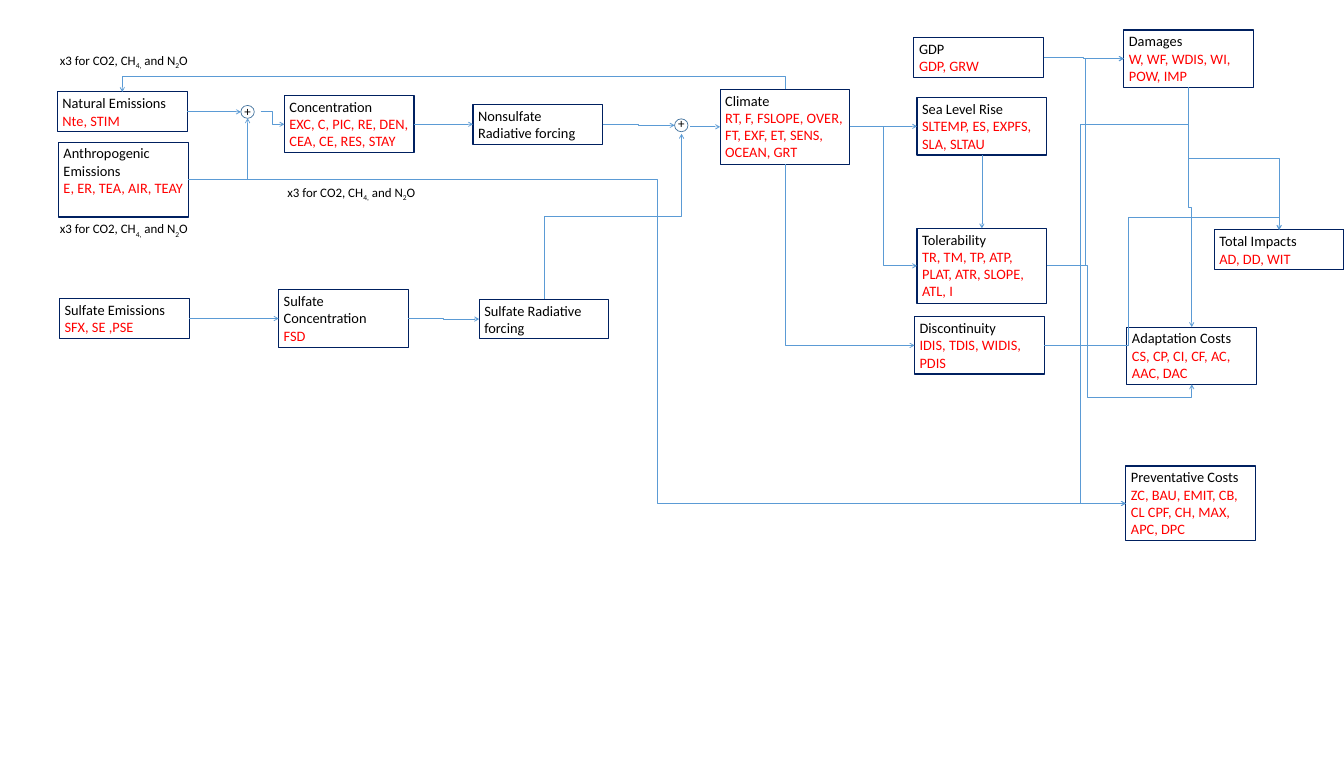
import dataclasses
import enum
import typing

import lxml.etree
import pptx
import pptx.dml.color
import pptx.enum.shapes
import pptx.enum.text
import pptx.oxml.ns
import pptx.util

Inches = pptx.util.Inches
Pt = pptx.util.Pt
RGB = pptx.dml.color.RGBColor.from_string
Preset = pptx.enum.shapes.MSO_SHAPE
qn = pptx.oxml.ns.qn


@dataclasses.dataclass(frozen=True)
class Theme:
    font: str = "Calibri"
    title: str = "000000"
    variables: str = "FF0000"
    box_edge: str = "002060"
    sum_edge: str = "43739E"
    flow: str = "5B9BD5"
    box_size: int = 20
    note_size: int = 18
    box_width: float = 2.51
    row_height: float = 0.34
    box_padding: float = 0.09


class Side(enum.Enum):
    TOP = 0
    LEFT = 1
    BOTTOM = 2
    RIGHT = 3


class Module(typing.NamedTuple):
    title: str
    variables: str
    left: float
    top: float
    rows: int


class Sum(typing.NamedTuple):
    key: str
    circle: tuple[float, float, float, float]
    sign: tuple[float, float, float, float]
    spacing: float


class Flow(typing.NamedTuple):
    source: str
    exit: Side
    target: str
    entry: Side
    bends: tuple[float, ...] = (0.5,)


THEME = Theme()
TOP, LEFT, BOTTOM, RIGHT = Side

MODULES = [
    Module("Natural Emissions", "Nte, STIM", 1.11, 1.78, 2),
    Module("Anthropogenic Emissions", "E, ER, TEA, AIR, TEAY", 1.13, 2.75, 4),
    Module("Concentration", "EXC, C, PIC, RE, DEN, CEA, CE, RES, STAY", 5.5, 1.85, 3),
    Module("Sulfate Emissions", "SFX, SE ,PSE", 1.15, 5.78, 2),
    Module("Sulfate Concentration", "FSD", 5.39, 5.61, 3),
    Module("Climate", "RT, F, FSLOPE, OVER, FT, EXF, ET, SENS, OCEAN, GRT", 13.93, 1.73, 4),
    Module("Tolerability", "TR, TM, TP, ATP, PLAT, ATR, SLOPE, ATL, I", 17.74, 4.42, 4),
    Module("Discontinuity", "IDIS, TDIS, WIDIS, PDIS", 17.69, 6.13, 3),
    Module("Adaptation Costs", "CS, CP, CI, CF, AC, AAC, DAC", 21.8, 6.33, 3),
    Module("Sea Level Rise", "SLTEMP, ES, EXPFS, SLA, SLTAU", 17.74, 1.89, 3),
    Module("GDP", "GDP, GRW", 17.68, 0.73, 2),
    Module("Total Impacts", "AD, DD, WIT", 23.49, 4.45, 2),
    Module("Damages", "W, WF, WDIS, WI, POW, IMP", 21.74, 0.58, 3),
    Module("Preventative Costs", "ZC, BAU, EMIT, CB, CL CPF, CH, MAX, APC, DPC", 21.78, 9.02, 4),
    Module("Sulfate Radiative forcing", "", 9.27, 5.79, 2),
    Module("Nonsulfate Radiative forcing", "", 9.15, 2.02, 2),
]
SUMS = [
    Sum("Emissions", (4.66, 2.04, 0.26, 0.25), (4.63, 1.95, 0.41, 0.4), 1.0),
    Sum("Forcing", (13.05, 2.3, 0.26, 0.25), (13.02, 2.31, 0.33, 0.28), 0.5),
]
GAS_NOTES = [(1.06, 0.96), (1.06, 4.23), (5.46, 3.52)]
GAS_TEXT = [("x3 for CO2, CH", False), ("4,", True), (" and N", False), ("2", True), ("O", False)]
FLOWS = [
    Flow("Nonsulfate Radiative forcing", RIGHT, "Forcing circle", LEFT),
    Flow("Emissions sign", RIGHT, "Concentration", LEFT),
    Flow("Anthropogenic Emissions", RIGHT, "Emissions circle", BOTTOM, ()),
    Flow("Natural Emissions", RIGHT, "Emissions circle", LEFT),
    Flow("Sulfate Emissions", RIGHT, "Sulfate Concentration", LEFT),
    Flow("Sulfate Radiative forcing", TOP, "Forcing sign", BOTTOM),
    Flow("Forcing sign", RIGHT, "Climate", LEFT),
    Flow("Climate", BOTTOM, "Discontinuity", LEFT, ()),
    Flow("Climate", RIGHT, "Tolerability", LEFT),
    Flow("Climate", RIGHT, "Sea Level Rise", LEFT),
    Flow("Sea Level Rise", BOTTOM, "Tolerability", TOP),
    Flow("GDP", RIGHT, "Damages", LEFT),
    Flow("Tolerability", RIGHT, "Damages", LEFT),
    Flow("Damages", BOTTOM, "Adaptation Costs", TOP),
    Flow("Tolerability", RIGHT, "Adaptation Costs", BOTTOM, (0.28, 1.11)),
    Flow("Damages", BOTTOM, "Total Impacts", TOP),
    Flow("Damages", BOTTOM, "Preventative Costs", LEFT, (0.09, 1.73)),
    Flow("Discontinuity", RIGHT, "Total Impacts", TOP, (0.36, 1.11)),
    Flow("Anthropogenic Emissions", RIGHT, "Preventative Costs", LEFT),
    Flow("Climate", TOP, "Natural Emissions", TOP, (-5.13,)),
    Flow("Sulfate Concentration", RIGHT, "Sulfate Radiative forcing", LEFT),
    Flow("Concentration", RIGHT, "Nonsulfate Radiative forcing", LEFT),
]


def apply(target: typing.Any, formats: dict[str, typing.Any]) -> None:
    for attribute, value in formats.items():
        setattr(target, attribute, value)


def write(paragraph, text: str, size: int, color: str, subscript: bool = False) -> None:
    run = paragraph.add_run()
    run.text = text
    apply(run.font, {"name": THEME.font, "size": Pt(size)})
    run.font.color.rgb = RGB(color)
    if subscript:
        run.font._element.set("baseline", "-25000")


def add_outline(slide, preset, bounds: tuple[float, ...], edge: str, weight: float):
    outline = slide.shapes.add_shape(preset, *map(Inches, bounds))
    outline.shadow.inherit = False
    outline.fill.background()
    outline.line.color.rgb = RGB(edge)
    outline.line.width = Pt(weight)
    return outline


def format_frame(frame) -> None:
    apply(frame, {
        "word_wrap": True,
        "auto_size": pptx.enum.text.MSO_AUTO_SIZE.SHAPE_TO_FIT_TEXT,
        "vertical_anchor": pptx.enum.text.MSO_ANCHOR.TOP,
    })


def add_module(slide, module: Module):
    height = THEME.box_padding + THEME.row_height * module.rows
    bounds = (module.left, module.top, THEME.box_width, height)
    box = add_outline(slide, Preset.RECTANGLE, bounds, THEME.box_edge, 1.5)
    frame = box.text_frame
    format_frame(frame)
    write(frame.paragraphs[0], module.title, THEME.box_size, THEME.title)
    if module.variables:
        write(frame.add_paragraph(), module.variables, THEME.box_size, THEME.variables)
    for paragraph in frame.paragraphs:
        paragraph.alignment = pptx.enum.text.PP_ALIGN.LEFT
    return box


def add_note(slide, bounds: tuple[float, ...], parts: list[tuple[str, bool]], spacing: float = 1.0):
    note = slide.shapes.add_textbox(*map(Inches, bounds))
    format_frame(note.text_frame)
    paragraph = note.text_frame.paragraphs[0]
    paragraph.line_spacing = spacing
    for text, subscript in parts:
        write(paragraph, text, THEME.note_size, THEME.title, subscript)
    return note


def site(shape, side: Side) -> tuple[int, int]:
    across = {LEFT: 0, RIGHT: shape.width}.get(side, shape.width // 2)
    down = {TOP: 0, BOTTOM: shape.height}.get(side, shape.height // 2)
    return shape.left + across, shape.top + down


def add_flow(slide, flow: Flow, parts: dict[str, typing.Any]) -> None:
    ends = [("stCxn", parts[flow.source], flow.exit), ("endCxn", parts[flow.target], flow.entry)]
    (x1, y1), (x2, y2) = [site(shape, side) for _, shape, side in ends]
    run, rise, rotation = x2 - x1, y2 - y1, 0
    if flow.exit in (TOP, BOTTOM):
        rotation = 270 if run > 0 and rise > 0 else 90
        run, rise = (-rise, run) if rotation == 270 else (rise, -run)
    width, height = abs(run), abs(rise)
    arrow = slide.shapes.add_connector(pptx.enum.shapes.MSO_CONNECTOR.ELBOW, 0, 0, 0, 0)
    apply(arrow, {"left": (x1 + x2 - width) // 2, "top": (y1 + y2 - height) // 2,
                  "width": width, "height": height})
    arrow.line.color.rgb = RGB(THEME.flow)
    arrow.line.width = Pt(1)

    properties = arrow._element.spPr
    turns = {"rot": rotation * 60000, "flipH": int(run < 0), "flipV": int(rise < 0)}
    for attribute, value in turns.items():
        properties.xfrm.set(attribute, str(value))
    geometry = properties.find(qn("a:prstGeom"))
    geometry.set("prst", f"bentConnector{len(flow.bends) + 2}")
    for number, bend in enumerate(flow.bends, 1):
        lxml.etree.SubElement(geometry.find(qn("a:avLst")), qn("a:gd"),
                              name=f"adj{number}", fmla=f"val {round(bend * 100000)}")
    lxml.etree.SubElement(properties.find(qn("a:ln")), qn("a:tailEnd"), type="arrow")
    lxml.etree.SubElement(properties, qn("a:effectLst"))
    glue = arrow._element.find(".//" + qn("p:cNvCxnSpPr"))
    for tag, shape, side in ends:
        step = 2 if shape.shape_type != pptx.enum.shapes.MSO_SHAPE_TYPE.TEXT_BOX \
            and shape.auto_shape_type == Preset.OVAL else 1
        lxml.etree.SubElement(glue, qn(f"a:{tag}"), id=str(shape.shape_id), idx=str(side.value * step))


def main() -> None:
    deck = pptx.Presentation()
    apply(deck, {"slide_width": Inches(26), "slide_height": Inches(15)})
    slide = deck.slides.add_slide(deck.slide_layouts[6])
    parts = {module.title: add_module(slide, module) for module in MODULES}
    for total in SUMS:
        parts[f"{total.key} circle"] = add_outline(slide, Preset.OVAL, total.circle, THEME.sum_edge, 1)
        parts[f"{total.key} sign"] = add_note(slide, total.sign, [("+", False)], total.spacing)
    for left, top in GAS_NOTES:
        add_note(slide, (left, top, 4.3, 0.4), GAS_TEXT)
    for flow in FLOWS:
        add_flow(slide, flow, parts)
    deck.save("out.pptx")


if __name__ == "__main__":
    main()
